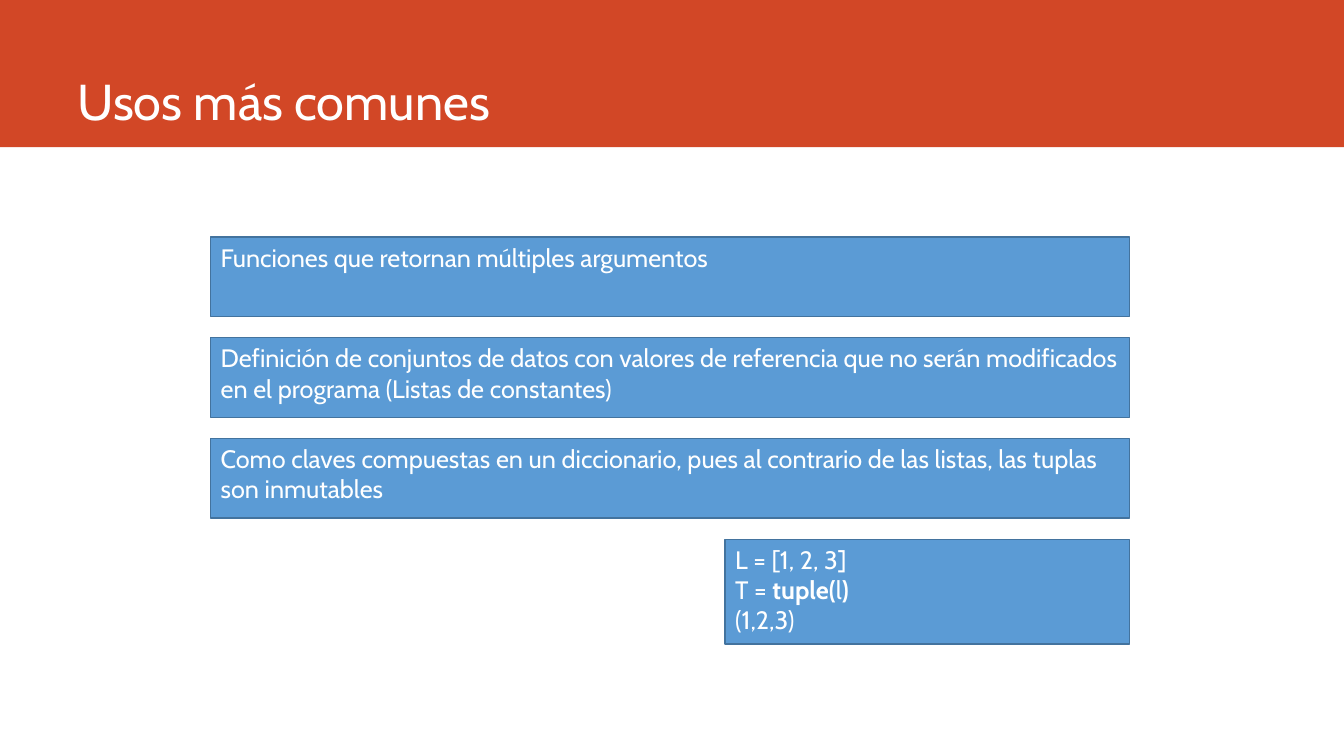
import pptx
import pptx.util
import pptx.dml.color
import pptx.enum.shapes
import pptx.enum.text

Inch = pptx.util.Inches
Align = pptx.enum.text.PP_ALIGN
Anchor = pptx.enum.text.MSO_ANCHOR

WIDTH, HEIGHT = 13.33, 7.5
COLORS = {"band": "D24726", "box": "5B9BD5", "edge": "43739E", "text": "FFFFFF"}
TITLE = {"name": "Cabin", "size": pptx.util.Pt(36), "bold": False}
BODY = {"name": "Cabin", "size": pptx.util.Pt(18), "bold": False}

USES = [
    "Funciones que retornan múltiples argumentos",
    "Definición de conjuntos de datos con valores de referencia que no serán "
    "modificados en el programa (Listas de constantes)",
    "Como claves compuestas en un diccionario, pues al contrario de las listas, "
    "las tuplas son inmutables",
]
# Each line is a list of pieces; every second piece is bold.
CODE = [["L = [1, 2, 3]"], ["T = ", "tuple(", "l", ")"], ["(1,2,3)"]]


def color(name):
    return pptx.dml.color.RGBColor.from_string(COLORS[name])


def write(shape, lines, style, anchor):
    frame = shape.text_frame
    format = {"word_wrap": True, "vertical_anchor": anchor,
              "auto_size": pptx.enum.text.MSO_AUTO_SIZE.NONE}
    for key, value in format.items():
        setattr(frame, key, value)
    for row, line in enumerate(lines):
        para = frame.paragraphs[0] if row == 0 else frame.add_paragraph()
        para.alignment = Align.LEFT
        for spot, piece in enumerate(line):
            run = para.add_run()
            run.text = piece
            for key, value in {**style, "bold": spot % 2 == 1}.items():
                setattr(run.font, key, value)
            run.font.color.rgb = color("text")


def add_box(slide, box, fill, edge=None):
    shape = slide.shapes.add_shape(
        pptx.enum.shapes.MSO_SHAPE.RECTANGLE, *map(Inch, box))
    shape.shadow.inherit = False
    shape.fill.solid()
    shape.fill.fore_color.rgb = color(fill)
    if edge:
        shape.line.color.rgb = color(edge)
        shape.line.width = pptx.util.Pt(1)
    else:
        shape.line.fill.background()
    return shape


def add_head(slide, box, text):
    left, top, width, height = box
    band = add_box(slide, box, "band")
    title = slide.shapes.title
    title.element.addprevious(band.element)
    place = {"left": left + 0.05 * width, "top": top,
             "width": 0.88 * width, "height": 0.92 * height}
    for key, value in place.items():
        setattr(title, key, Inch(value))
    write(title, [[text]], TITLE, Anchor.BOTTOM)


def add_uses(slide, box):
    """Stack full-width uses, then the code sample flush right."""
    left, top, width, height = box
    step, tall = 1, 0.79
    short = 0.44 * width
    for row, use in enumerate(USES):
        shape = add_box(slide, (left, top + row * step, width, tall), "box", "edge")
        write(shape, [[use]], BODY, Anchor.TOP)
    drop = len(USES) * step
    shape = add_box(slide, (left + width - short, top + drop, short, height - drop),
                    "box", "edge")
    write(shape, CODE, BODY, Anchor.TOP)


def main():
    deck = pptx.Presentation()
    deck.slide_width, deck.slide_height = Inch(WIDTH), Inch(HEIGHT)
    slide = deck.slides.add_slide(deck.slide_layouts.get_by_name("Title Only"))
    add_head(slide, (0, 0, WIDTH, 1.46), "Usos más comunes")
    add_uses(slide, (2.09, 2.35, 9.11, 4.04))
    deck.save("out.pptx")


if __name__ == "__main__":
    main()
